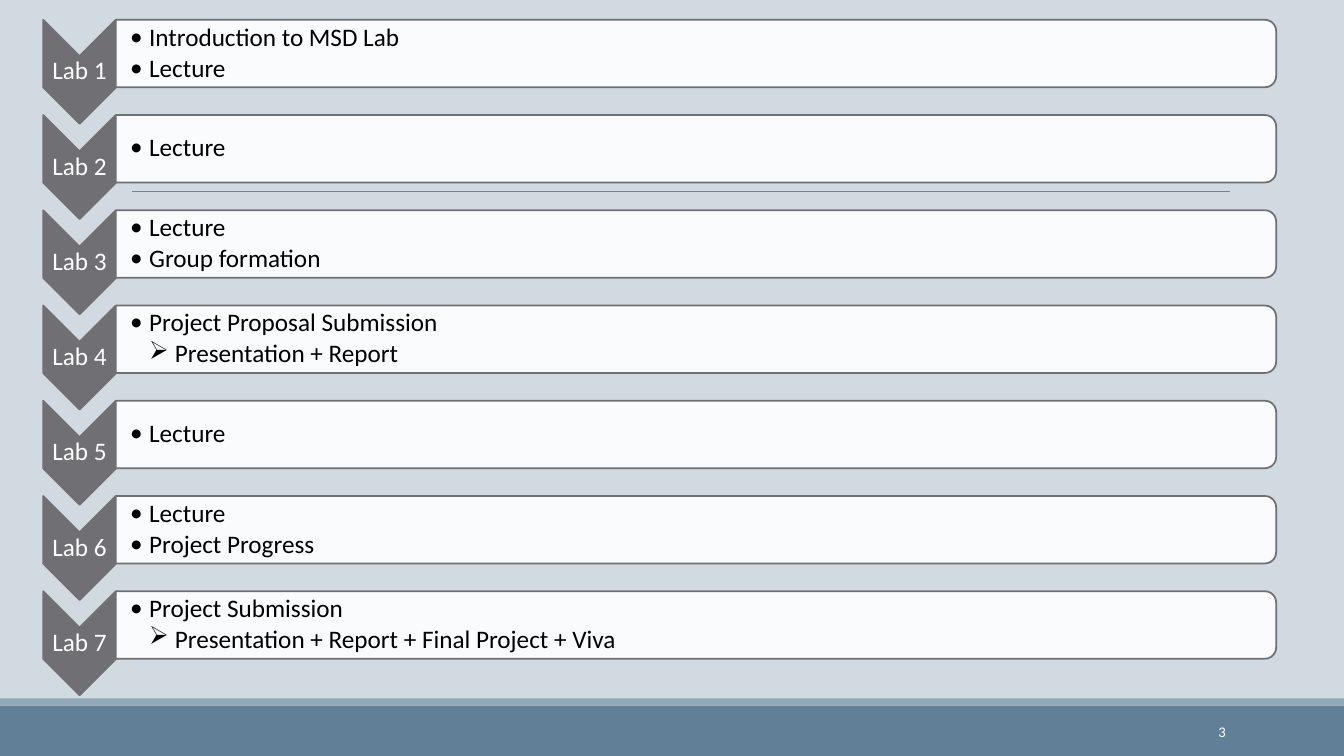
from dataclasses import dataclass

from lxml import etree
from pptx import Presentation
from pptx.dml.color import RGBColor
from pptx.enum.shapes import MSO_CONNECTOR, MSO_SHAPE
from pptx.enum.text import MSO_ANCHOR, PP_ALIGN
from pptx.oxml.ns import qn
from pptx.util import Cm, Pt

LABS = [
    ("Lab 1", [(1, "Introduction to MSD Lab"), (1, "Lecture")]),
    ("Lab 2", [(1, "Lecture")]),
    ("Lab 3", [(1, "Lecture"), (1, "Group formation")]),
    ("Lab 4", [(1, "Project Proposal Submission"), (2, " Presentation + Report")]),
    ("Lab 5", [(1, "Lecture")]),
    ("Lab 6", [(1, "Lecture"), (1, "Project Progress")]),
    ("Lab 7", [(1, "Project Submission"),
               (2, " Presentation + Report + Final Project + Viva")]),
]
PAGE_NUMBER = "3"
BULLETS = {
    1: ("•", {"typeface": "Calibri"}),
    2: ("Ø", {"typeface": "Wingdings", "pitchFamily": "2", "charset": "2"}),
}

CHEVRON = MSO_SHAPE.CHEVRON
CARD = MSO_SHAPE.ROUND_2_SAME_RECTANGLE
BAND = MSO_SHAPE.RECTANGLE
STRAIGHT = MSO_CONNECTOR.STRAIGHT
MIDDLE = MSO_ANCHOR.MIDDLE
LEFT, CENTER, RIGHT = PP_ALIGN.LEFT, PP_ALIGN.CENTER, PP_ALIGN.RIGHT


@dataclass(frozen=True)
class Theme:
    background: str = "D1D9E1"
    footer: str = "618097"
    footer_edge: str = "92A9B9"
    rule: str = "7F7F7F"
    accent: str = "6F6F74"
    card: str = "FFFFFF"
    ink: str = "000000"
    light: str = "FFFFFF"
    font: str = "Calibri"
    text_size: float = 18
    page_size: float = 10.5
    outline: float = 1.25
    hairline: float = 0.75


THEME = Theme()
SLIDE_W, SLIDE_H = 33.87, 19.05
FOOTER_TOP, EDGE_H = 17.78, 0.18
ROW_TOP, ROW_PITCH = 0.5, 2.4
CHEVRON_LEFT, CHEVRON_W, CHEVRON_H = 1.09, 1.83, 2.62
CARD_LEFT, CARD_W, CARD_H = 2.92, 29.24, 1.7
LABEL_H, BODY_H = 0.79, 1.55
INDENT = 0.48
TIGHT = (0.03, 0.03, 0.03, 0.03)
BODY_INSETS = (0.36, 0.03, 0.03, 0.03)
PAGE_INSETS = (0.25, 0.13, 0.25, 0.13)


def assign(target, values):
    for key, value in values.items():
        setattr(target, key, value)


def paint(fill, color):
    fill.solid()
    fill.fore_color.rgb = RGBColor.from_string(color)


def add_block(slide, preset, left, top, width, height, color, outline=None):
    block = slide.shapes.add_shape(preset, Cm(left), Cm(top), Cm(width), Cm(height))
    block.shadow.inherit = False
    paint(block.fill, color)
    if outline:
        paint(block.line.fill, outline)
        block.line.width = Pt(THEME.outline)
    else:
        block.line.fill.background()
    return block


def add_turned(slide, preset, left, top, width, height, color):
    shift = (width - height) / 2
    block = add_block(slide, preset, left + shift, top - shift, height, width,
                      color, THEME.accent)
    block.rotation = 90
    return block


def add_bullet(paragraph, level):
    symbol, typeface = BULLETS[level]
    properties = paragraph._p.get_or_add_pPr()
    properties.set("marL", str(Cm(INDENT * level)))
    properties.set("indent", str(-Cm(INDENT)))
    tint = etree.SubElement(properties, qn("a:buClr"))
    etree.SubElement(tint, qn("a:srgbClr"), val=THEME.ink)
    etree.SubElement(properties, qn("a:buFont"), typeface)
    etree.SubElement(properties, qn("a:buChar"), char=symbol)


def add_text(slide, box, insets, entries, color, size, align, spacing=0.9):
    frame = slide.shapes.add_textbox(*(Cm(length) for length in box)).text_frame
    assign(frame, {"word_wrap": True, "vertical_anchor": MIDDLE})
    sides = ("margin_left", "margin_top", "margin_right", "margin_bottom")
    assign(frame, {side: Cm(inset) for side, inset in zip(sides, insets)})
    for index, (level, words) in enumerate(entries):
        paragraph = frame.add_paragraph() if index else frame.paragraphs[0]
        if level:
            add_bullet(paragraph, level)
        assign(paragraph, {"level": level, "alignment": align,
                           "line_spacing": spacing,
                           "space_before": Pt(2.7 if index else 0)})
        run = paragraph.add_run()
        run.text = words
        assign(run.font, {"name": THEME.font, "size": Pt(size)})
        run.font.color.rgb = RGBColor.from_string(color)


def add_backdrop(slide):
    paint(slide.background.fill, THEME.background)
    add_block(slide, BAND, 0, FOOTER_TOP, SLIDE_W, SLIDE_H - FOOTER_TOP, THEME.footer)
    add_block(slide, BAND, 0, FOOTER_TOP - EDGE_H, SLIDE_W, EDGE_H, THEME.footer_edge)
    rule = slide.shapes.add_connector(STRAIGHT, Cm(3.33), Cm(4.82), Cm(31), Cm(4.82))
    paint(rule.line.fill, THEME.rule)
    rule.line.width = Pt(THEME.hairline)
    etree.SubElement(rule._element.spPr, qn("a:effectLst"))


def add_lab(slide, top, label, topics):
    add_turned(slide, CHEVRON, CHEVRON_LEFT, top, CHEVRON_W, CHEVRON_H, THEME.accent)
    label_top = top + (CHEVRON_H - LABEL_H) / 2
    add_text(slide, (CHEVRON_LEFT, label_top, CHEVRON_W, LABEL_H), TIGHT,
             [(0, label)], THEME.light, THEME.text_size, CENTER)
    card = add_turned(slide, CARD, CARD_LEFT, top, CARD_W, CARD_H, THEME.card)
    tint = card._element.spPr.find(qn("a:solidFill")).find(qn("a:srgbClr"))
    etree.SubElement(tint, qn("a:alpha"), val="90000")
    body_top = top + (CARD_H - BODY_H) / 2
    add_text(slide, (CARD_LEFT, body_top, CARD_W, BODY_H), BODY_INSETS,
             topics, THEME.ink, THEME.text_size, LEFT)


def main():
    deck = Presentation()
    assign(deck, {"slide_width": Cm(SLIDE_W), "slide_height": Cm(SLIDE_H)})
    slide = deck.slides.add_slide(deck.slide_layouts[6])
    add_backdrop(slide)
    for row, (label, topics) in enumerate(LABS):
        add_lab(slide, ROW_TOP + row * ROW_PITCH, label, topics)
    add_text(slide, (27.51, 17.93, 3.63, 1.02), PAGE_INSETS,
             [(0, PAGE_NUMBER)], THEME.light, THEME.page_size, RIGHT, 1.0)
    deck.save("out.pptx")


if __name__ == "__main__":
    main()
